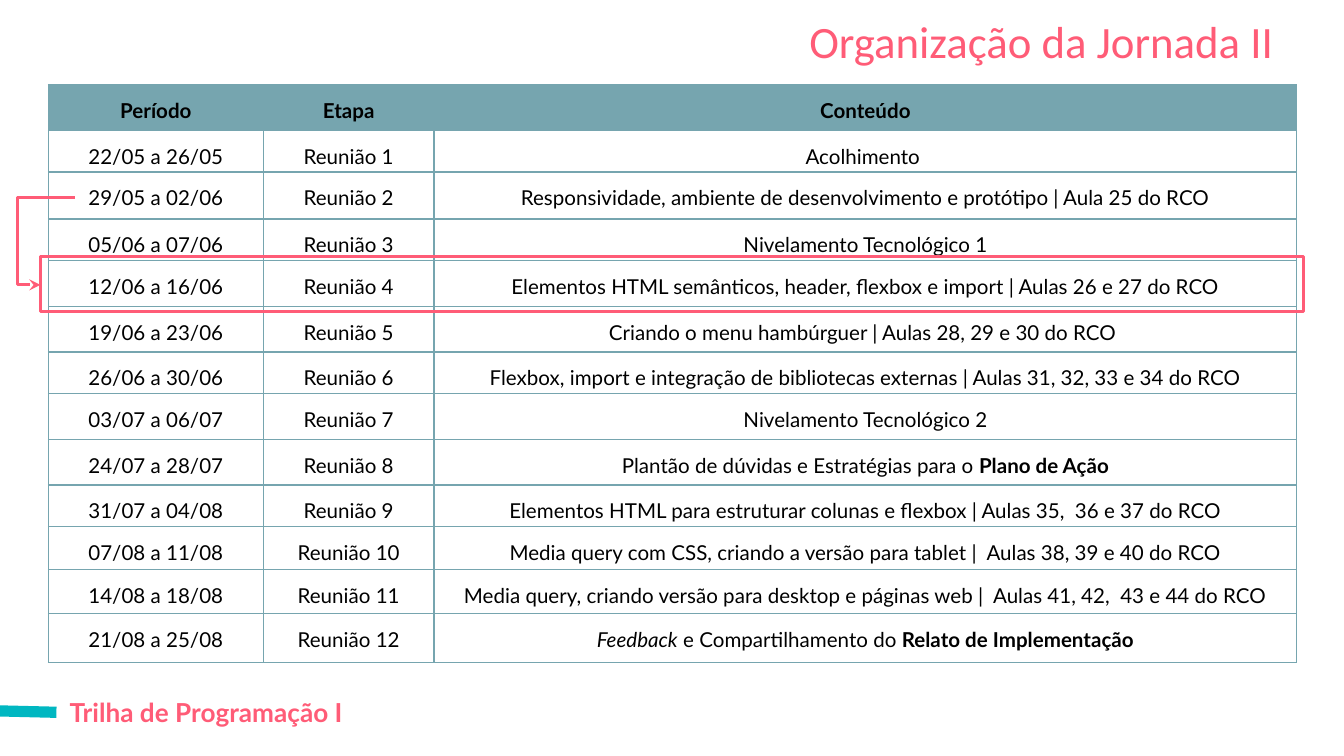
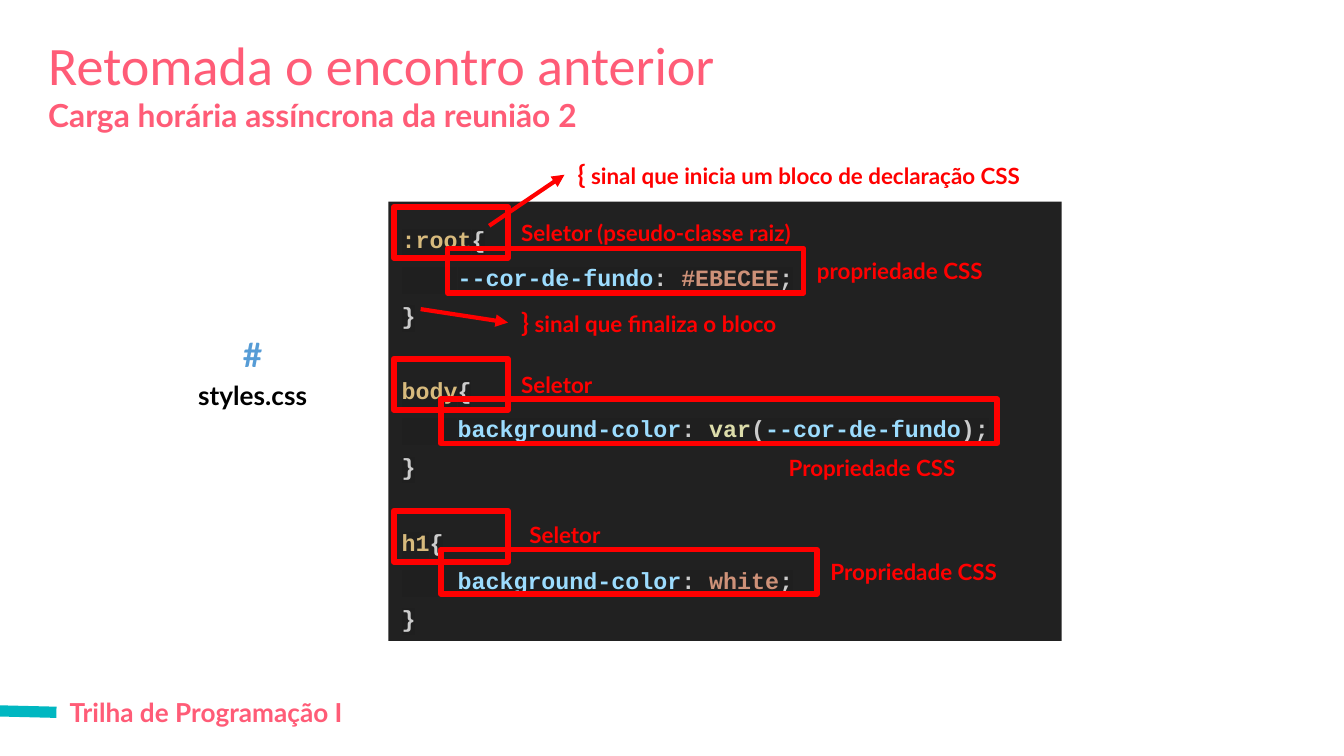
from lxml import etree
from pptx import Presentation
from pptx.dml.color import RGBColor
from pptx.enum.shapes import MSO_CONNECTOR, MSO_SHAPE
from pptx.enum.text import MSO_ANCHOR, PP_ALIGN
from pptx.oxml import parse_xml
from pptx.oxml.ns import nsdecls, qn
from pptx.util import Inches, Pt

LEFT, CENTER, RIGHT = PP_ALIGN.LEFT, PP_ALIGN.CENTER, PP_ALIGN.RIGHT
TOP = MSO_ANCHOR.TOP
STRAIGHT, ELBOW = MSO_CONNECTOR.STRAIGHT, MSO_CONNECTOR.ELBOW
RECTANGLE = MSO_SHAPE.RECTANGLE

COLORS = {
    "pink": "FF5C77", "turquoise": "00B7C1", "teal": "76A5AF", "red": "FF0000",
    "black": "000000", "white": "FFFFFF", "panel": "212121", "highlight": "1F1F1F",
    "hash": "569CD6", "selector": "D7BA7D", "plain": "CCCCCC",
    "property": "9CDCFE", "value": "CE9178", "function": "DCDCAA",
}
RGB = {name: RGBColor.from_string(value) for name, value in COLORS.items()}

# Grid of 100 columns; rows are as high as columns are wide
CELL = Inches(0.1)
COLUMNS, ROWS = 100, 56.25


def add_spans(para, spans, size, color, name="Lato", bold=True):
    """Add (text, changes) runs; changes override the paragraph's shared style."""
    for text, changes in spans:
        style = {"size": size, "color": color, "bold": bold, "italic": False} | changes
        span = para.add_run()
        span.text = text
        span.font.name = name
        span.font.size = Pt(style["size"])
        span.font.bold = style["bold"]
        span.font.italic = style["italic"]
        span.font.color.rgb = RGB[style["color"]]


def add_text(page, area, spans, size, color, name="Lato", bold=True, align=LEFT):
    """Add a one-paragraph text box on grid cells and return its paragraph."""
    box = page.shapes.add_textbox(*(round(n * CELL) for n in area))
    frame = box.text_frame
    frame.word_wrap = True
    frame.margin_left = frame.margin_right = CELL
    frame.margin_top = frame.margin_bottom = CELL
    para = frame.paragraphs[0]
    para.alignment = align
    add_spans(para, spans, size, color, name, bold)
    return para


deck = Presentation()
deck.slide_width, deck.slide_height = COLUMNS * CELL, round(ROWS * CELL)
schedule_page, review_page = [
    deck.slides.add_slide(deck.slide_layouts[6]) for _ in range(2)
]
for page in (schedule_page, review_page):
    add_text(page, (4.2, 50.8, 52.7, 4.4), [("Trilha de Programação I", {})], 14, "pink")

# Slide 1: schedule
add_text(schedule_page, (36.9, 0, 58.8, 6.1), [("Organização da Jornada II", {})],
         24, "pink", "Calibri", False, RIGHT)

BOLD, ITALIC = {"bold": True}, {"italic": True}
meetings = [
    ("22/05 a 26/05", [("Acolhimento ", {})]),
    ("29/05 a 02/06",
     [("Responsividade, ambiente de desenvolvimento e protótipo | Aula 25 do RCO", {})]),
    ("05/06 a 07/06", [("Nivelamento Tecnológico 1", {})]),
    ("12/06 a 16/06",
     [("Elementos HTML semânticos, header, flexbox e import | Aulas 26 e 27 do RCO", {})]),
    ("19/06 a 23/06", [("Criando o menu hambúrguer | Aulas 28, 29 e 30 do RCO ", {})]),
    ("26/06 a 30/06",
     [("Flexbox, import e integração de bibliotecas externas | Aulas 31, 32, 33 e 34 do RCO",
       {})]),
    ("03/07 a 06/07", [("Nivelamento Tecnológico 2", {})]),
    ("24/07 a 28/07",
     [("Plantão de dúvidas e Estratégias para o ", {}), ("Plano de Ação", BOLD)]),
    ("31/07 a 04/08",
     [("Elementos HTML para estruturar colunas e flexbox | Aulas 35,  36 e 37 do RCO", {})]),
    ("07/08 a 11/08",
     [("Media query com CSS, criando a versão para tablet |  Aulas 38, 39 e 40 do RCO", {})]),
    ("14/08 a 18/08",
     [("Media query, criando versão para desktop e páginas web |  "
       "Aulas 41, 42,  43 e 44 do RCO", {})]),
    ("21/08 a 25/08",
     [("Feedback", ITALIC), (" e Compartilhamento do", {}),
      (" Relato de Implementação", BOLD)]),
]
table_rows = [[[(title, BOLD)] for title in ("Período", "Etapa", "Conteúdo")]]
for number, (period, content) in enumerate(meetings, 1):
    table_rows.append([[(period, {})], [(f"Reunião {number}", {})], content])

column_widths = [16, 12.7, 64.2]
row_heights = [3.4, 3.1, 3.5, 3.1, 3.4, 3.4, 3.1, 3.4, 3.4, 3.1, 3.2, 3.3, 3.6]
schedule = schedule_page.shapes.add_table(
    len(row_heights), len(column_widths), round(3.6 * CELL), round(6.3 * CELL),
    round(sum(column_widths) * CELL), round(sum(row_heights) * CELL)).table
for column, width in zip(schedule.columns, column_widths):
    column.width = round(width * CELL)
for row, height in zip(schedule.rows, row_heights):
    row.height = round(height * CELL)
for row_index, contents in enumerate(table_rows):
    for column_index, spans in enumerate(contents):
        cell = schedule.cell(row_index, column_index)
        cell.margin_left = cell.margin_right = cell.margin_top = CELL
        cell.margin_bottom = 0
        cell.vertical_anchor = TOP
        properties = cell._tc.get_or_add_tcPr()
        for side in ("lnL", "lnR", "lnT", "lnB"):
            properties.append(parse_xml(
                f'<a:{side} {nsdecls("a")} w="{Pt(0.75)}"><a:solidFill>'
                f'<a:srgbClr val="{COLORS["teal"]}"/></a:solidFill></a:{side}>'))
        cell.fill.solid()
        cell.fill.fore_color.rgb = RGB["white" if row_index else "teal"]
        para = cell.text_frame.paragraphs[0]
        para.alignment = CENTER
        add_spans(para, spans, 11, "black", bold=False)

# Slide 2: annotated style sheet
add_text(review_page, (2.6, 6.1, 53.9, 4.9),
         [("Carga horária assíncrona da reunião 2", {})], 17, "pink")
heading = add_text(review_page, (2.6, 0.6, 70, 6.9),
                   [("Retomada o encontro anterior", {})], 29, "pink", "Calibri", False)
heading.line_spacing = 1.15
file_label = add_text(review_page, (12.2, 23.4, 13.2, 7.9), [("#", {})],
                      18, "hash", align=CENTER)
file_label.line_spacing = 1.15
file_label.space_after = Pt(10)
file_label.add_line_break()
add_spans(file_label, [("styles.css", {})], 14, "black")

panel = review_page.shapes.add_shape(
    RECTANGLE, *(round(n * CELL) for n in (28.9, 15, 50.1, 32.7)))
panel.shadow.inherit = False
panel.fill.solid()
panel.fill.fore_color.rgb = RGB["panel"]
panel.line.fill.background()
code_frame = panel.text_frame
code_frame.word_wrap = True
code_frame.vertical_anchor = TOP
code_frame.margin_left = code_frame.margin_right = CELL
code_frame.margin_top = code_frame.margin_bottom = CELL

rules = [
    (":root", [("--cor-de-fundo", "property"), (": ", "plain"),
               ("#EBECEE", "value"), (";", "plain")]),
    ("body", [("background-color", "property"), (": ", "plain"), ("var", "function"),
              ("(", "plain"), ("--cor-de-fundo", "property"), (");", "plain")]),
    ("h1", [("background-color", "property"), (": ", "plain"),
            ("white", "value"), (";", "plain")]),
]
for rule_index, (selector, declaration) in enumerate(rules):
    code_lines = [
        [(selector, "selector"), ("{", "plain")],
        [("    ", "plain")] + declaration,
        [("}", "plain")],
    ]
    for line_index, tokens in enumerate(code_lines):
        first = rule_index == line_index == 0
        para = code_frame.paragraphs[0] if first else code_frame.add_paragraph()
        para.alignment = LEFT
        para.line_spacing = 1.36
        if rule_index and line_index == 0:
            para.space_before = Pt(20)
        add_spans(para, [(text, {"color": color}) for text, color in tokens],
                  12.5, "plain", "Courier New")
        for span in para.runs:
            span.font._element.find(qn("a:solidFill")).addnext(parse_xml(
                f'<a:highlight {nsdecls("a")}>'
                f'<a:srgbClr val="{COLORS["highlight"]}"/></a:highlight>'))

BRACE = {"size": 14}
notes = [
    (37.8, 15.3, 25.9, 4, [("Seletor (pseudo-classe raiz)", {})]),
    (37.8, 26.6, 25.9, 4, [("Seletor", {})]),
    (38.4, 37.8, 25.9, 4, [("Seletor", {})]),
    (59.8, 18.1, 25.9, 4, [("propriedade CSS", {})]),
    (57.7, 32.8, 25.9, 4, [("Propriedade CSS", {})]),
    (60.8, 40.5, 25.9, 4, [("Propriedade CSS", {})]),
    (42, 10.8, 40, 4.4,
     [("{", BRACE), (" sinal que inicia um bloco de declaração CSS", {})]),
    (37.8, 21.8, 40, 4.4, [("}", BRACE), (" sinal que finaliza o bloco", {})]),
]
for *area, spans in notes:
    add_text(review_page, area, spans, 12, "red")

# Outlines around the current meeting, the selectors and the declarations
outlines = [(schedule_page, (3, 19.1, 94, 4.1), "pink", 1.5)]
for rule_index, (left, width) in enumerate([(33.3, 26.5), (32.8, 41.4), (32.8, 28)]):
    step = 11.3 * rule_index
    outlines.append((review_page, (29.3, 15.4 + step, 8.5, 3.8), "red", 3))
    outlines.append((review_page, (left, 18.5 + 11.2 * rule_index, width, 3.3), "red", 3))
for page, area, color, weight in outlines:
    outline = page.shapes.add_shape(RECTANGLE, *(round(n * CELL) for n in area))
    outline.shadow.inherit = False
    outline.fill.background()
    outline.line.color.rgb = RGB[color]
    outline.line.width = Pt(weight)

# Footer dashes and arrows: page, kind, ends, colour, weight, (arrow end, arrow type)
footer_dash = (STRAIGHT, (0, 52.9, 4.2, 53), "turquoise", 6, None)
note_arrow = ("red", 2.25, ("tailEnd", "triangle"))
connectors = [
    (schedule_page, *footer_dash),
    (review_page, *footer_dash),
    (schedule_page, ELBOW, (3, 21.2, 5.6, 14.7), "pink", 1.5, ("headEnd", "stealth")),
    (review_page, STRAIGHT, (36.4, 16.8, 42, 13), *note_arrow),
    (review_page, STRAIGHT, (31.3, 23, 37.8, 24), *note_arrow),
]
for page, kind, ends, color, weight, arrow in connectors:
    connector = page.shapes.add_connector(kind, *(round(n * CELL) for n in ends))
    connector.line.color.rgb = RGB[color]
    connector.line.width = Pt(weight)
    properties = connector._element.spPr
    if arrow:
        end, arrow_type = arrow
        etree.SubElement(connector.line._get_or_add_ln(), qn(f"a:{end}"), type=arrow_type)
    if kind == ELBOW:
        geometry = properties.find(qn("a:prstGeom"))
        bends = geometry.find(qn("a:avLst"))
        if bends is None:
            bends = etree.SubElement(geometry, qn("a:avLst"))
        etree.SubElement(bends, qn("a:gd"), name="adj1", fmla="val -65100")
    etree.SubElement(properties, qn("a:effectLst"))

deck.save("out.pptx")
